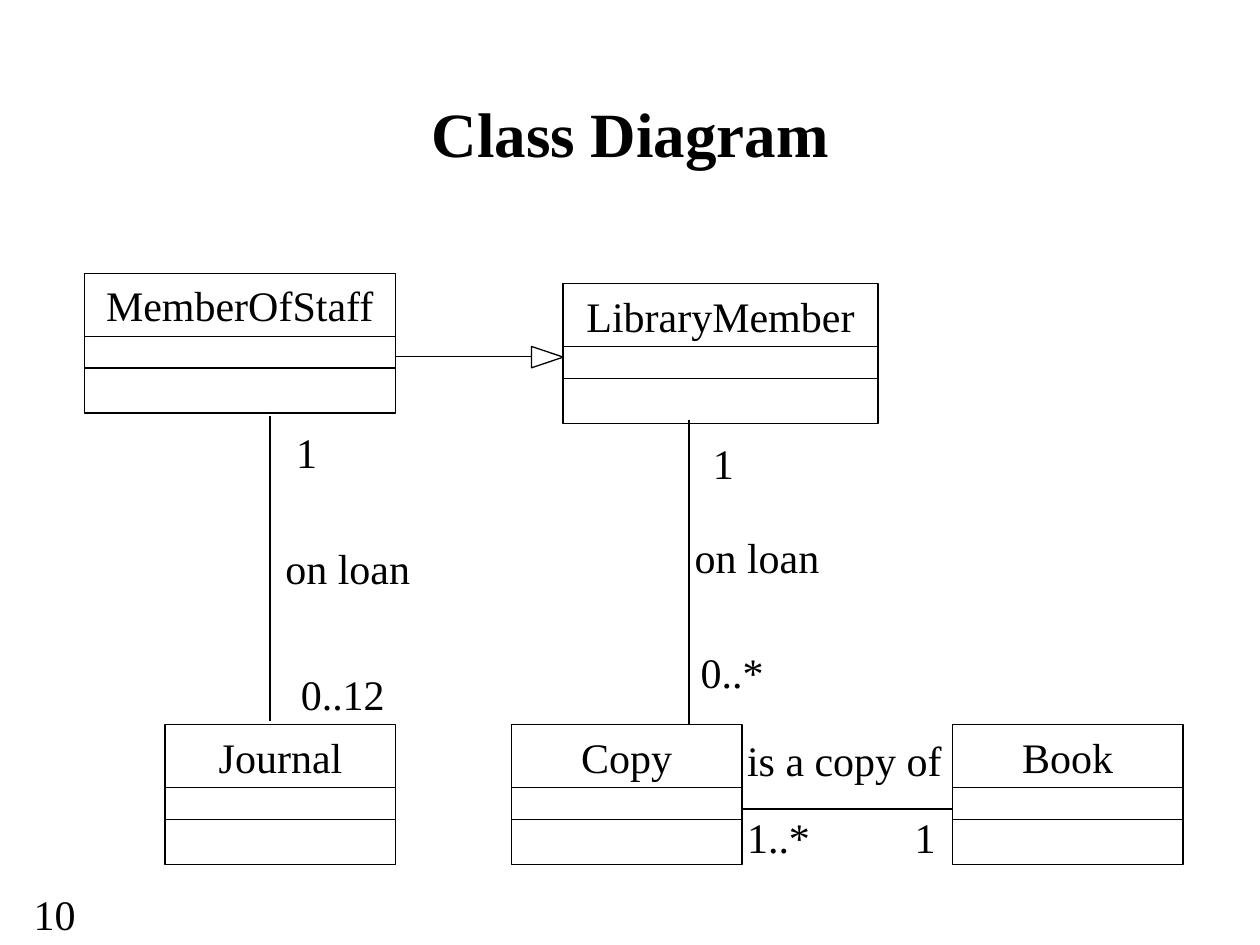
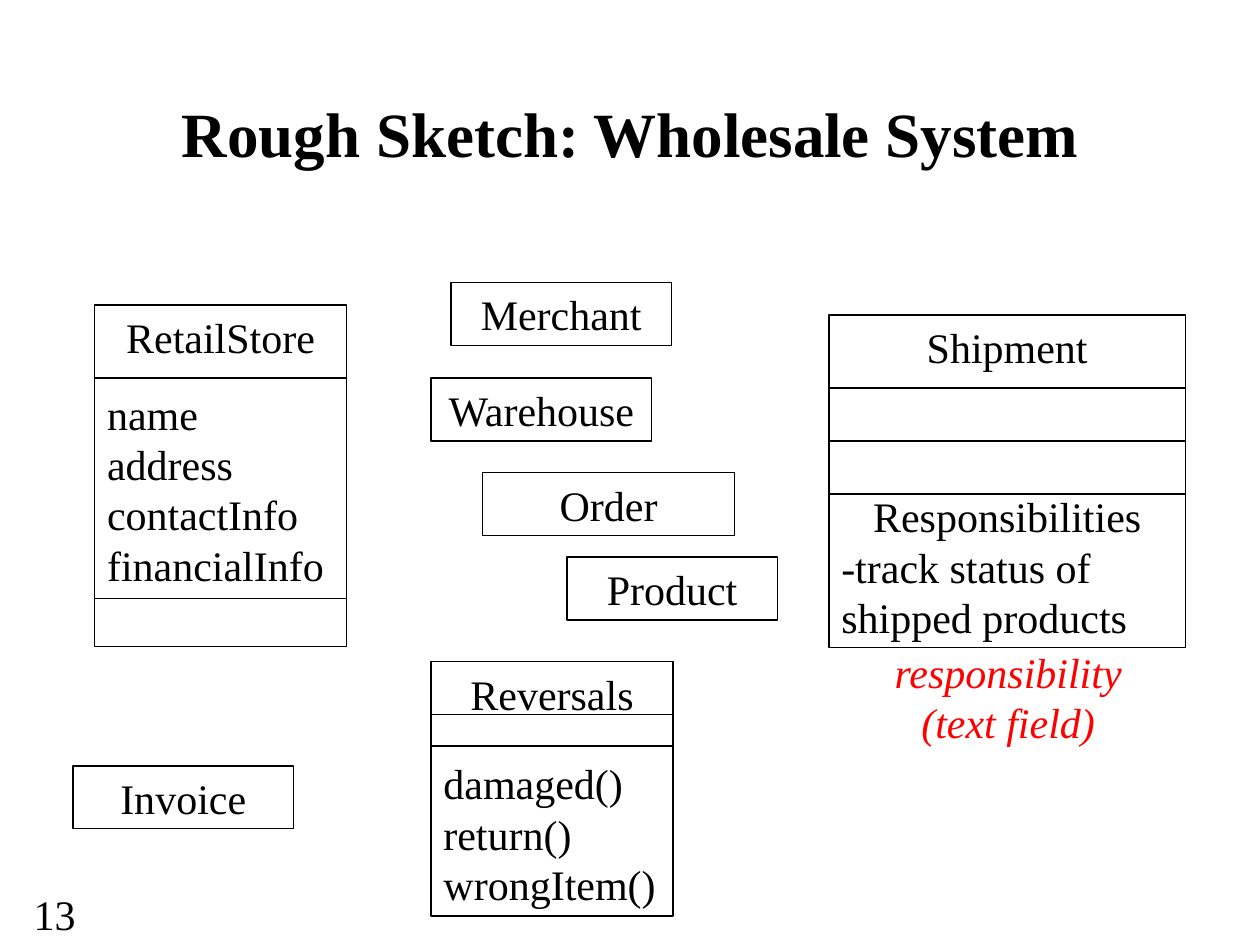
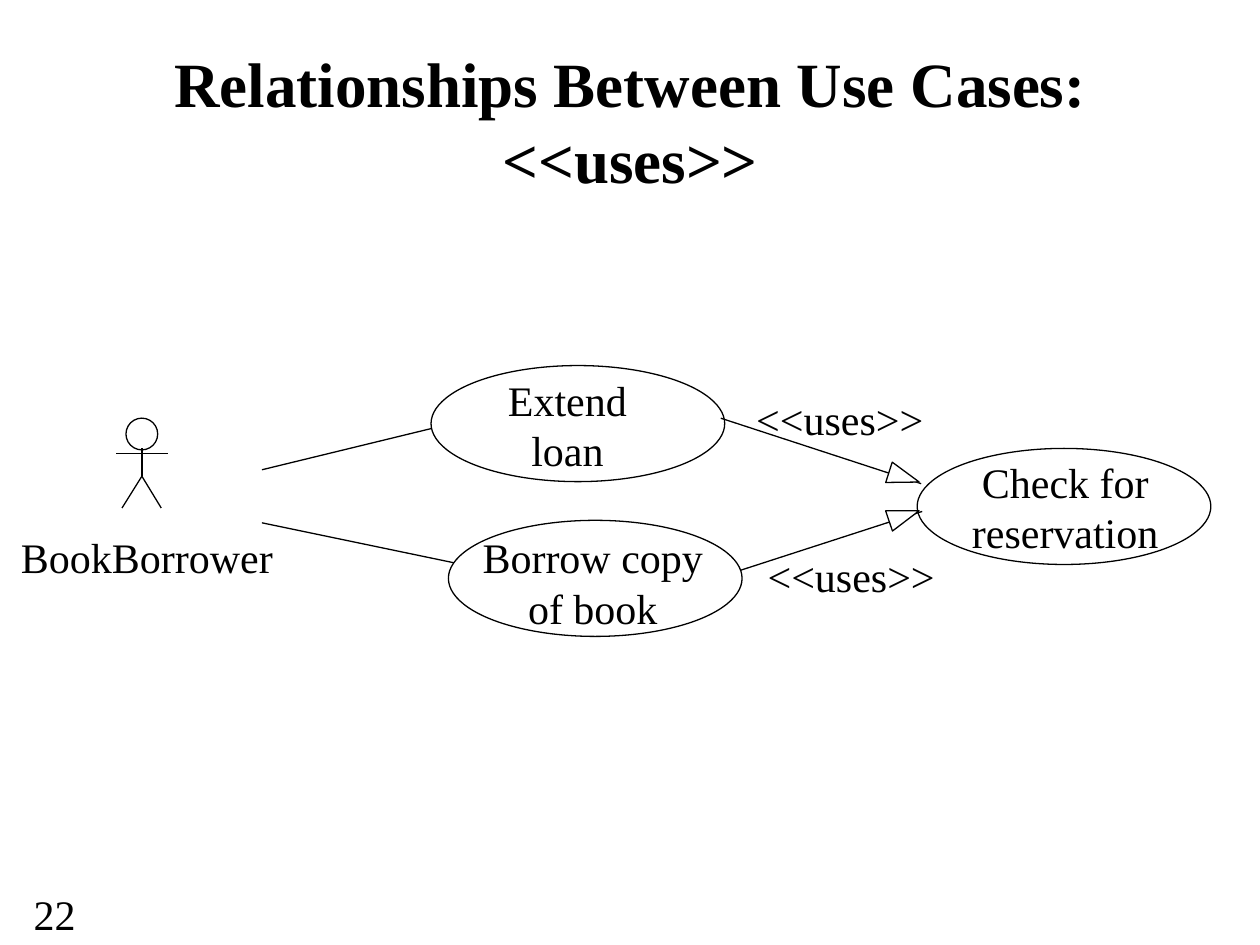
from dataclasses import dataclass

from lxml import etree
from pptx import Presentation
from pptx.dml.color import RGBColor
from pptx.enum.shapes import MSO_CONNECTOR, MSO_SHAPE
from pptx.enum.text import MSO_ANCHOR, MSO_AUTO_SIZE, PP_ALIGN
from pptx.oxml.ns import qn
from pptx.util import Cm, Pt

LEFT, CENTER = PP_ALIGN.LEFT, PP_ALIGN.CENTER
TOP, MIDDLE = MSO_ANCHOR.TOP, MSO_ANCHOR.MIDDLE
GROW, FIXED = MSO_AUTO_SIZE.SHAPE_TO_FIT_TEXT, MSO_AUTO_SIZE.NONE
RECT, OVAL = MSO_SHAPE.RECTANGLE, MSO_SHAPE.OVAL
TRIANGLE = MSO_SHAPE.ISOSCELES_TRIANGLE
STRAIGHT = MSO_CONNECTOR.STRAIGHT
TITLE_ONLY = 5


@dataclass(frozen=True)
class Theme:
    font: str = "Times New Roman"
    ink: RGBColor = RGBColor(0, 0, 0)
    paper: RGBColor = RGBColor(255, 255, 255)
    note: RGBColor = RGBColor(255, 0, 0)
    title_size: int = 36
    text_size: int = 24
    line_width: float = 0.75


THEME = Theme()
BODY = {"name": THEME.font, "size": Pt(THEME.text_size), "bold": False, "italic": False}
TITLE = {**BODY, "size": Pt(THEME.title_size), "bold": True}
NOTE = {**BODY, "italic": True}

LINE_HEIGHT = 1.27
TWO_LINES = 2.29
CLASS_HEIGHT = 2.82
CLASS_DIVIDERS = (1.27, 1.91)
CASE_WIDTH, CASE_HEIGHT = 5.92, 2.34
ARROW_WIDTH, ARROW_LENGTH = 0.43, 0.64


def cm(*lengths):
    return [Cm(length) for length in lengths]


def format_frame(tf, anchor=TOP, auto_size=GROW):
    settings = {
        "word_wrap": True, "auto_size": auto_size, "vertical_anchor": anchor,
        "margin_left": Cm(0.25), "margin_right": Cm(0.25),
        "margin_top": Cm(0.13), "margin_bottom": Cm(0.13),
    }
    for name, value in settings.items():
        setattr(tf, name, value)


def write(tf, lines, style=BODY, color=THEME.ink):
    """Fill a frame with lines of (text, alignment, points of space before)."""
    for i, (text, align, space) in enumerate(lines):
        p = tf.add_paragraph() if i else tf.paragraphs[0]
        p.alignment = align
        p.space_before = Pt(space)
        r = p.add_run()
        r.text = text
        for name, value in style.items():
            setattr(r.font, name, value)
        r.font.color.rgb = color


def add_page(prs, title, number, title_top=1.07):
    s = prs.slides.add_slide(prs.slide_layouts[TITLE_ONLY])
    sp = s.shapes.title
    sp.left, sp.top, sp.width, sp.height = cm(1.91, title_top, 21.59, 3.18)
    format_frame(sp.text_frame, MIDDLE, FIXED)
    write(sp.text_frame, [(title, CENTER, 0)], TITLE)
    add_label(s, str(number), 0.43, 17.78, 1.7, align=LEFT)
    return s


def add_label(s, text, left, top, width, height=LINE_HEIGHT, align=CENTER,
              style=BODY, color=THEME.ink):
    sp = s.shapes.add_textbox(*cm(left, top, width, height))
    format_frame(sp.text_frame)
    write(sp.text_frame, [(text, align, 0)], style, color)


def add_outline(s, kind, left, top, width, height, filled=False, rotation=0):
    sp = s.shapes.add_shape(kind, *cm(left, top, width, height))
    sp.shadow.inherit = False
    sp.rotation = rotation
    if filled:
        sp.fill.solid()
        sp.fill.fore_color.rgb = THEME.paper
    else:
        sp.fill.background()
    sp.line.color.rgb = THEME.ink
    sp.line.width = Pt(THEME.line_width)
    return sp


def add_line(s, x1, y1, x2, y2):
    line = s.shapes.add_connector(STRAIGHT, *cm(x1, y1, x2, y2))
    line.line.color.rgb = THEME.ink
    line.line.width = Pt(THEME.line_width)
    etree.SubElement(line._element.spPr, qn("a:effectLst"))


def add_arrow(s, ends, head_left, head_top, rotation):
    """Draw a line with a large hollow head, as in UML generalization."""
    add_line(s, *ends)
    add_outline(s, TRIANGLE, head_left, head_top, ARROW_WIDTH, ARROW_LENGTH, True, rotation)


def add_class(s, name, left, top, width, height=CLASS_HEIGHT,
              dividers=CLASS_DIVIDERS, members=(), filled=False):
    """Draw a UML class; dividers are distances from its top edge."""
    sp = add_outline(s, RECT, left, top, width, height, filled)
    format_frame(sp.text_frame)
    write(sp.text_frame, [(name, CENTER, 0), *members])
    for offset in dividers:
        add_line(s, left, top + offset, left + width, top + offset)


def add_use_case(s, text, left, top, label_left, label_top, label_width):
    add_outline(s, OVAL, left, top, CASE_WIDTH, CASE_HEIGHT, True)
    add_label(s, text, label_left, label_top, label_width, TWO_LINES)


def add_actor(s, name):
    add_outline(s, OVAL, 2.54, 8.43, 0.64, 0.64)
    body = (2.86, 9.04, 2.86, 9.6)
    arms = (2.34, 9.14, 3.38, 9.14)
    left_leg = (2.86, 9.6, 2.46, 10.24)
    right_leg = (2.86, 9.6, 3.25, 10.24)
    for limb in (body, arms, left_leg, right_leg):
        add_line(s, *limb)
    add_label(s, name, 0, 10.59, 5.92)


def add_copy_relation(s):
    """Label the association above its line, with a multiplicity at each end below."""
    sp = s.shapes.add_textbox(*cm(14.81, 14.68, 4.8, 2.82))
    tf = sp.text_frame
    format_frame(tf)
    write(tf, [("is a copy of", LEFT, 0), ("1..*\t1", LEFT, 15)])
    tabs = etree.SubElement(tf.paragraphs[1]._p.get_or_add_pPr(), qn("a:tabLst"))
    etree.SubElement(tabs, qn("a:tab"), pos=str(Cm(3.38)), algn="l")
    add_line(s, 14.96, 16.31, 19.2, 16.31)


def class_diagram(prs):
    s = add_page(prs, "Class Diagram", 10)
    add_arrow(s, (6.99, 7.19, 10.8, 7.19), 10.82, 6.88, 90)
    add_class(s, "MemberOfStaff", 1.7, 5.51, 6.27, filled=True)
    add_class(s, "LibraryMember", 11.35, 5.72, 6.35)
    for name, left in (("Book", 19.2), ("Copy", 10.31), ("Journal", 3.33)):
        add_class(s, name, left, 14.61, 4.65)
    add_copy_relation(s)
    add_line(s, 13.89, 8.46, 13.89, 14.61)
    add_line(s, 5.44, 8.38, 5.44, 14.53)
    for text, left, top, width in (
        ("1", 14.12, 8.69, 0.64),
        ("on loan", 12.62, 10.59, 5.28),
        ("0..*", 13.49, 12.9, 2.54),
        ("1", 5.72, 8.46, 0.64),
        ("on loan", 4.37, 10.8, 5.28),
        ("0..12", 5.64, 13.34, 2.54),
    ):
        add_label(s, text, left, top, width)


def wholesale_sketch(prs):
    s = add_page(prs, "Rough Sketch: Wholesale System", 13)
    for name, left, top, width in (
        ("Merchant", 9.09, 5.69, 4.45),
        ("Warehouse", 8.69, 7.62, 4.45),
        ("Order", 9.73, 9.53, 5.08),
        ("Product", 11.43, 11.23, 4.24),
        ("Invoice", 1.47, 15.44, 4.45),
    ):
        add_class(s, name, left, top, width, LINE_HEIGHT, dividers=())
    add_class(s, "RetailStore", 1.91, 6.15, 5.08, 6.88, (1.47, 5.92), [
        ("name", LEFT, 15), ("address", LEFT, 0),
        ("contactInfo", LEFT, 0), ("financialInfo", LEFT, 0)])
    add_class(s, "Shipment", 16.71, 6.35, 7.19, 6.71, (1.47, 2.54, 3.61), [
        ("Responsibilities", CENTER, 68),
        ("-track status of shipped products", LEFT, 0)])
    add_class(s, "Reversals", 8.69, 13.34, 4.88, 5.13, (1.07, 1.7), [
        ("damaged()", LEFT, 22.5), ("return()", LEFT, 0), ("wrongItem()", LEFT, 0)])
    add_label(s, "responsibility (text field)", 17.15, 12.9, 6.35, TWO_LINES,
              style=NOTE, color=THEME.note)


def use_case_relations(prs):
    s = add_page(prs, "Relationships Between Use Cases: <<uses>>", 22, title_top=0.84)
    add_actor(s, "BookBorrower")
    add_line(s, 5.28, 10.54, 9.32, 11.38)
    add_use_case(s, "Check for reservation", 18.49, 9.04, 19.25, 9.07, 4.45)
    add_use_case(s, "Extend loan", 8.69, 7.37, 9.32, 7.42, 4.24)
    add_line(s, 5.28, 9.47, 8.69, 8.64)
    add_arrow(s, (14.53, 8.43, 18.57, 9.75), 18.01, 9.3, 107.8)
    add_arrow(s, (14.73, 11.56, 18.59, 10.31), 18.01, 10.08, 71.3)
    for left, top in ((15.04, 10.97), (14.81, 7.8)):
        add_label(s, "<<uses>>", left, top, 4.24)
    add_use_case(s, "Borrow copy of book", 9.04, 10.49, 9.09, 10.59, 5.72)


def main():
    prs = Presentation()
    prs.slide_width, prs.slide_height = cm(25.4, 19.05)
    class_diagram(prs)
    wholesale_sketch(prs)
    use_case_relations(prs)
    prs.save("out.pptx")


if __name__ == "__main__":
    main()
